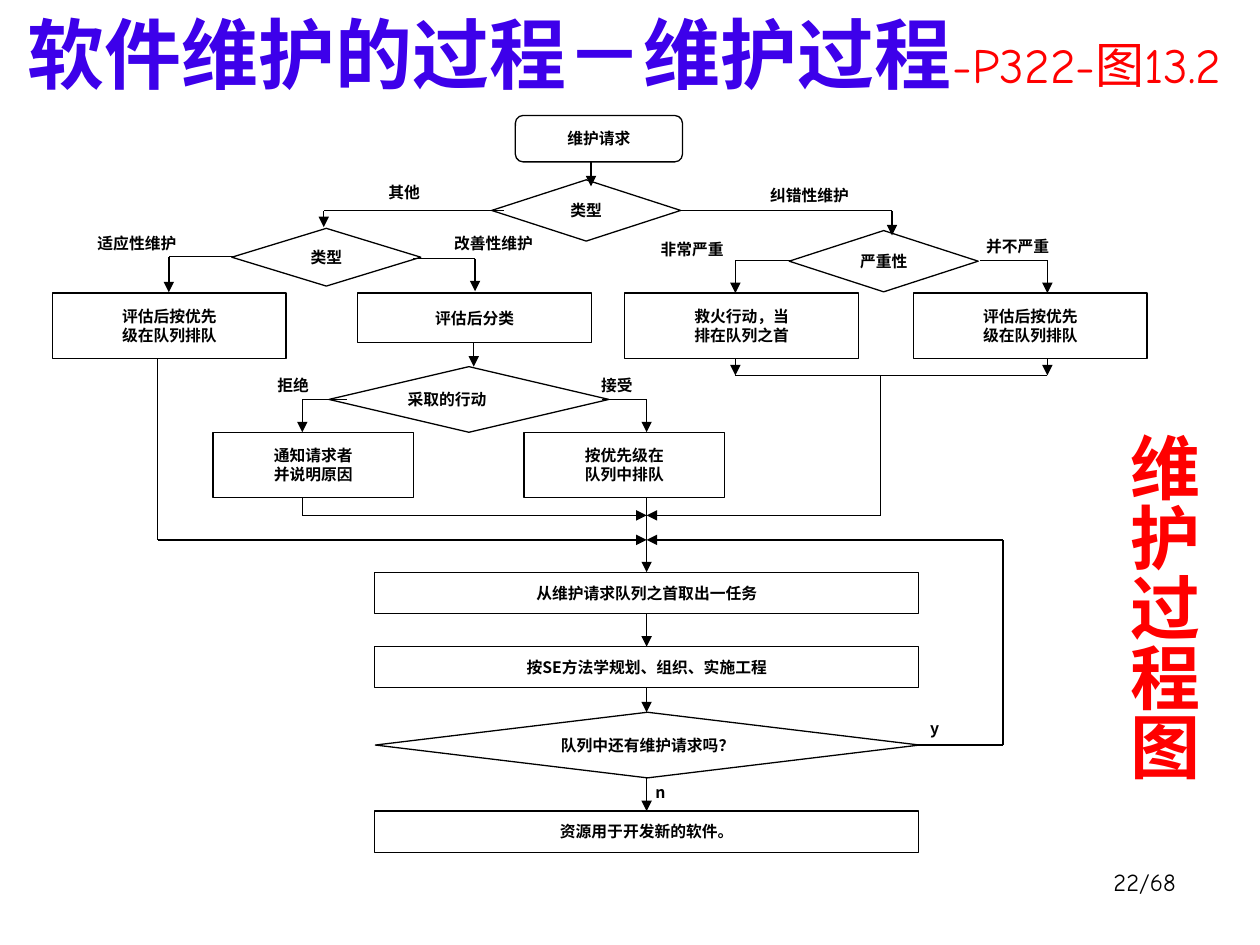
from dataclasses import dataclass
from itertools import pairwise

from lxml import etree
from pptx import Presentation
from pptx.dml.color import RGBColor
from pptx.enum.shapes import MSO_CONNECTOR, MSO_SHAPE
from pptx.enum.text import MSO_ANCHOR, PP_ALIGN
from pptx.oxml.ns import qn
from pptx.util import Pt

RECTANGLE, DIAMOND = MSO_SHAPE.RECTANGLE, MSO_SHAPE.DIAMOND
ROUNDED = MSO_SHAPE.ROUNDED_RECTANGLE
STRAIGHT = MSO_CONNECTOR.STRAIGHT
LEFT, CENTER, RIGHT, JUSTIFY = PP_ALIGN.LEFT, PP_ALIGN.CENTER, PP_ALIGN.RIGHT, PP_ALIGN.JUSTIFY
TOP, MIDDLE, BOTTOM = MSO_ANCHOR.TOP, MSO_ANCHOR.MIDDLE, MSO_ANCHOR.BOTTOM


@dataclass(frozen=True)
class Style:
    size: float
    color: RGBColor
    font: str
    bold: bool = False


@dataclass(frozen=True)
class Theme:
    black = RGBColor(0, 0, 0)
    red = RGBColor(0xFF, 0, 0)
    blue = RGBColor(0x3D, 0, 0xEA)
    east_asian = "Noto Sans CJK SC"
    line_width = 0.75
    title = Style(44, blue, "Comic Neue", True)
    reference = Style(28, red, "Comic Neue")
    page = Style(14, black, "Comic Neue")
    chart = Style(9, black, "Noto Sans CJK SC", True)
    caption = Style(40, red, "Arial", True)


THEME = Theme()
Box = tuple[float, float, float, float]
Point = tuple[float, float]


@dataclass(frozen=True)
class Node:
    kind: int
    box: Box
    text: str
    align: int = CENTER


@dataclass(frozen=True)
class Label:
    box: Box
    text: str
    align: int = JUSTIFY


@dataclass(frozen=True)
class Route:
    points: tuple[Point, ...]
    arrow: bool = True


# Shared rows and columns of the flowchart
CARD_TOP, CARD_WIDTH, CARD_HEIGHT = 167.5, 133.5, 37.5
CARD_BOTTOM = CARD_TOP + CARD_HEIGHT
OUTCOME_TOP, OUTCOME_WIDTH = 247, 114.5
OUTCOME_BOTTOM = OUTCOME_TOP + CARD_HEIGHT
STEP_LEFT, STEP_WIDTH, STEP_HEIGHT = 214, 311, 23.5
MAIN_X, REJECT_X, URGENT_X, MINOR_X = 369.5, 172.75, 420.25, 598.5
TYPE_Y, SEVERITY_Y, ACTION_Y = 120.5, 148.75, 228.5
JOIN_Y, MERGE_Y, QUEUE_Y, LOOP_Y = 214.5, 294.5, 308.5, 425.75


def card(left: float, text: str, height: float = CARD_HEIGHT) -> Node:
    return Node(RECTANGLE, (left, CARD_TOP, CARD_WIDTH, height), text)


def outcome(left: float, text: str) -> Node:
    return Node(RECTANGLE, (left, OUTCOME_TOP, OUTCOME_WIDTH, CARD_HEIGHT), text)


def step(top: float, text: str) -> Node:
    return Node(RECTANGLE, (STEP_LEFT, top, STEP_WIDTH, STEP_HEIGHT), text)


NODES = (
    Node(ROUNDED, (294.5, 66, 95.5, 26.5), "维护请求"),
    Node(DIAMOND, (281, 102.75, 108, 35), "类型"),
    Node(DIAMOND, (132.5, 130.5, 108, 33), "类型"),
    Node(DIAMOND, (451, 131.75, 108, 35), "严重性"),
    card(30, "评估后按优先\n级在队列排队"),
    card(204.5, "评估后分类", 28.25),
    card(357, "救火行动，当\n排在队列之首"),
    card(522, "评估后按优先\n级在队列排队"),
    Node(DIAMOND, (188, 209.5, 160, 37.5), "采取的行动", JUSTIFY),
    outcome(121.75, "通知请求者\n并说明原因"),
    outcome(299.5, "按优先级在\n队列中排队"),
    step(327, "从维护请求队列之首取出一任务"),
    step(369.5, "按SE方法学规划、组织、实施工程"),
    Node(DIAMOND, (214.5, 407, STEP_WIDTH, CARD_HEIGHT), "队列中还有维护请求吗？"),
    step(463.5, "资源用于开发新的软件。"),
)

ROUTES = (
    Route(((337.75, 92.5), (337.75, 106.5))),
    Route(((288, TYPE_Y), (185, TYPE_Y), (185, 129.75))),
    Route(((389, TYPE_Y), (509.75, TYPE_Y), (509.75, 134.5))),
    Route(((236, 147.75), (271.5, 147.75), (271.5, 166.5))),
    Route(((134.5, 146.75), (96.5, 146.75), (96.5, 167))),
    Route(((451.5, SEVERITY_Y), (URGENT_X, SEVERITY_Y), (URGENT_X, CARD_TOP))),
    Route(((560, SEVERITY_Y), (MINOR_X, SEVERITY_Y), (MINOR_X, CARD_TOP))),
    Route(((URGENT_X, CARD_BOTTOM), (URGENT_X, JOIN_Y))),
    Route(((MINOR_X, CARD_BOTTOM), (MINOR_X, JOIN_Y))),
    Route(((URGENT_X, JOIN_Y), (MINOR_X, JOIN_Y)), arrow=False),
    Route(((270.75, 195.75), (270.75, 209.5))),
    Route(((198, ACTION_Y), (REJECT_X, ACTION_Y), (REJECT_X, OUTCOME_TOP))),
    Route(((344.25, ACTION_Y), (MAIN_X, ACTION_Y), (MAIN_X, OUTCOME_TOP))),
    Route(((REJECT_X, OUTCOME_BOTTOM), (REJECT_X, MERGE_Y), (MAIN_X, MERGE_Y))),
    Route(((503.25, JOIN_Y), (503.25, MERGE_Y), (MAIN_X, MERGE_Y))),
    Route(((90, CARD_BOTTOM), (90, QUEUE_Y), (MAIN_X, QUEUE_Y))),
    Route(((MAIN_X, OUTCOME_BOTTOM), (MAIN_X, 327))),
    Route(((MAIN_X, 350.5), (MAIN_X, 369.5))),
    Route(((MAIN_X, 393), (MAIN_X, 407))),
    Route(((MAIN_X, 444.5), (MAIN_X, 463.5))),
    Route(((522, LOOP_Y), (573.25, LOOP_Y), (573.25, QUEUE_Y), (MAIN_X, QUEUE_Y))),
)

LABELS = (
    Label((217, 101.5, 54, 26), "其他"),
    Label((407.5, 103, 110, 25), "纠错性维护", CENTER),
    Label((30, 130.5, 96.5, 26), "适应性维护", CENTER),
    Label((236, 130.5, 92, 22.5), "改善性维护", CENTER),
    Label((356.5, 134, 78, 21), "非常严重", CENTER),
    Label((558.5, 132.5, 77, 30), "并不严重"),
    Label((153.5, 211.5, 58, 20.5), "拒绝"),
    Label((338.5, 211.5, 58, 20.5), "接受"),
    Label((526.5, 407.5, 23, 24), "y"),
    Label((369.5, 444, 22.5, 18), "n"),
)


def write(shape, runs, align=LEFT, anchor=TOP, margins: Point = (5, 3)) -> None:
    """Fill a shape with styled runs; a newline in a run starts a paragraph."""
    frame = shape.text_frame
    horizontal, vertical = margins
    layout = {
        "word_wrap": True, "vertical_anchor": anchor,
        "margin_left": Pt(horizontal), "margin_right": Pt(horizontal),
        "margin_top": Pt(vertical), "margin_bottom": Pt(vertical),
    }
    for name, value in layout.items():
        setattr(frame, name, value)
    paragraph = frame.paragraphs[0]
    paragraph.alignment = align
    for text, style in runs:
        for index, line in enumerate(text.split("\n")):
            if index:
                paragraph = frame.add_paragraph()
                paragraph.alignment = align
            run = paragraph.add_run()
            run.text = line
            font_format = {"name": style.font, "size": Pt(style.size), "bold": style.bold}
            for name, value in font_format.items():
                setattr(run.font, name, value)
            run.font.color.rgb = style.color
            latin = run.font._element.find(qn("a:latin"))
            east_asian = etree.Element(qn("a:ea"), typeface=THEME.east_asian)
            latin.addnext(east_asian)


def add_text(slide, box: Box, runs, **layout):
    shape = slide.shapes.add_textbox(*map(Pt, box))
    write(shape, runs, **layout)
    return shape


def add_node(slide, node: Node) -> None:
    shape = slide.shapes.add_shape(node.kind, *map(Pt, node.box))
    shape.shadow.inherit = False
    shape.fill.background()
    shape.line.color.rgb = THEME.black
    shape.line.width = Pt(THEME.line_width)
    write(shape, [(node.text, THEME.chart)], node.align, MIDDLE)


def add_route(slide, route: Route) -> None:
    for start, end in pairwise(route.points):
        connector = slide.shapes.add_connector(STRAIGHT, *map(Pt, start + end))
        connector.line.color.rgb = THEME.black
        connector.line.width = Pt(THEME.line_width)
        if route.arrow and end == route.points[-1]:
            etree.SubElement(connector.line._get_or_add_ln(), qn("a:tailEnd"), type="triangle")
        etree.SubElement(connector.element.spPr, qn("a:effectLst"))


def main() -> None:
    presentation = Presentation()
    presentation.slide_width, presentation.slide_height = Pt(720), Pt(540)
    slide = presentation.slides.add_slide(presentation.slide_layouts[6])

    # Title and page number
    add_text(slide, (-18, 0, 750, 60),
             [("软件维护的过程－维护过程", THEME.title), ("-P322-图13.2", THEME.reference)],
             align=CENTER, anchor=BOTTOM, margins=(7.2, 3.6))
    add_text(slide, (529, 492, 150, 36), [("22/68", THEME.page)],
             align=RIGHT, margins=(7.2, 3.6))

    # Flowchart
    for node in NODES:
        add_node(slide, node)
    for route in ROUTES:
        add_route(slide, route)
    for label in LABELS:
        add_text(slide, label.box, [(label.text, THEME.chart)], align=label.align)

    # Vertical caption
    caption = add_text(slide, (630, 240, 62, 228), [("维护过程图", THEME.caption)],
                       margins=(3.6, 7.2))
    caption.element.txBody.bodyPr.set("vert", "eaVert")

    presentation.save("out.pptx")


if __name__ == "__main__":
    main()
